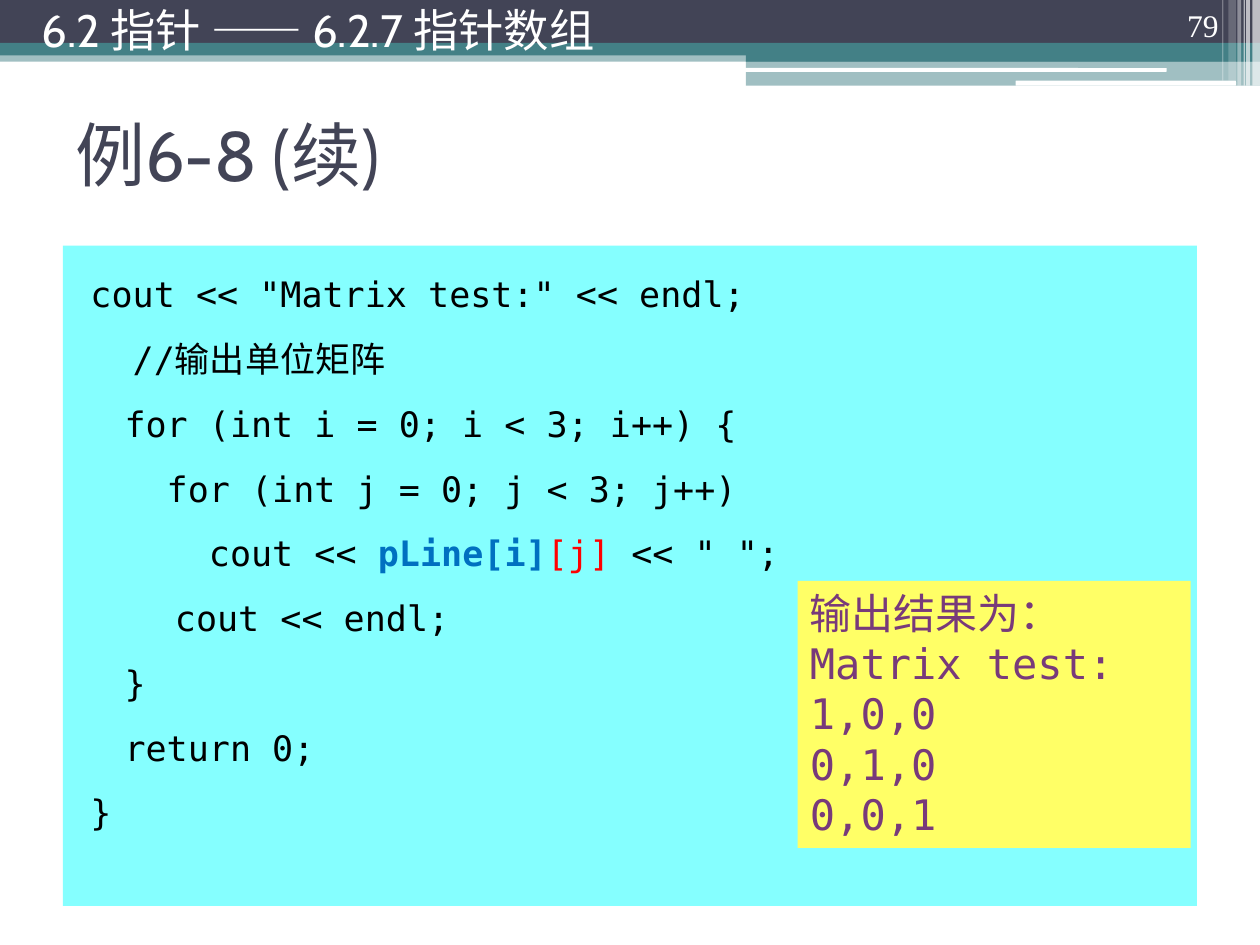
"""Build the slide on arrays of pointers, on a grid of 1000 columns by 750 rows."""
from lxml.etree import SubElement as Sub
from pptx import Presentation
from pptx.dml.color import RGBColor as RGB
from pptx.enum.shapes import MSO_SHAPE as Geo
from pptx.enum.text import MSO_ANCHOR as Anchor, PP_ALIGN as Align
from pptx.oxml.ns import qn
from pptx.util import Inches, Pt

HUE = {"ink": "424456", "teal": "438086", "white": "FFFFFF", "black": "000000",
       "cyan": "85FFFF", "lemon": "FFFF66", "plum": "783A7A",
       "blue": "0070C0", "red": "FF0000"}
MONO = "DejaVu Sans Mono"

deck = Presentation()
deck.slide_width, deck.slide_height = Inches(10), Inches(7.5)
cell = deck.slide_width // 1000
page = deck.slides.add_slide(deck.slide_layouts[6])


def block(spot, hue=None, alpha=100, geo=Geo.RECTANGLE):
    area = [cell * n for n in spot]
    if hue is None:
        return page.shapes.add_textbox(*area)
    form = page.shapes.add_shape(geo, *area)
    form.shadow.inherit = False
    form.line.fill.background()
    form.fill.solid()
    form.fill.fore_color.rgb = RGB.from_string(HUE[hue])
    if alpha < 100:
        tint = form.fill._xPr.find(qn("a:solidFill"))[0]
        Sub(tint, qn("a:alpha"), val=str(alpha * 1000))
    return form


def write(form, lines, look, hue, anchor=Anchor.TOP, para=None):
    frame = form.text_frame
    frame.word_wrap = True
    frame.vertical_anchor = anchor
    for n, line in enumerate(lines):
        part = frame.add_paragraph() if n else frame.paragraphs[0]
        for key, val in {"alignment": Align.LEFT, **(para or {})}.items():
            if n or key != "space_before":
                setattr(part, key, val)
        for text, tone, bold in [(line, hue, False)] if isinstance(line, str) else line:
            run = part.add_run()
            run.text = text
            for key, val in {**look, "bold": bold}.items():
                setattr(run.font, key, val)
            run.font.color.rgb = RGB.from_string(HUE[tone])
    return frame


bands = [
    ((0, 40, 1000, 9), "teal", 50),
    ((0, 0, 1000, 34), "ink", 100),
    ((0, 34, 1000, 10), "teal", 100),
    ((592, 39, 408, 10), "teal", 100),
    ((592, 48, 408, 20), "teal", 50),
]
for band in bands:
    block(*band)

for spot in [(591, 54, 335, 3), (806, 64, 175, 4)]:
    block(spot, "white", geo=Geo.ROUNDED_RECTANGLE)

stripes = [(994, 6, 68, 65), (989, 3, 68, 65), (987, 1, 68, 60),
           (982, 3, 68, 40), (975, 6, 64, 20), (970, 1, 64, 30)]
for left, wide, high, alpha in stripes:
    block((left, 0, wide, high), "white", alpha)

heads = [
    ((50, 63, 900, 117), "例6-8 (续)", "Cabin", 40, "ink", Anchor.MIDDLE, Align.LEFT),
    ((894, 0, 83, 40), "79", "Times New Roman", 18, "white", Anchor.BOTTOM, Align.RIGHT),
    ((23, 0, 721, 47), "6.2 指针 —— 6.2.7 指针数组", "Cabin", 25.9, "white",
     Anchor.MIDDLE, Align.LEFT),
]
for spot, text, face, size, hue, anchor, side in heads:
    write(block(spot), [text], {"name": face, "size": Pt(size)}, hue, anchor,
          {"alignment": side})

code = [
    'cout << "Matrix test:" << endl;',
    "  //输出单位矩阵",
    "\tfor (int i = 0; i < 3; i++) {",
    "\t  for (int j = 0; j < 3; j++)",
    [("\t    cout << ", "black", False), ("pLine[i]", "blue", True),
     ("[j] ", "red", False), ('<< " ";', "black", False)],
    "    cout << endl;",
    "\t}",
    "\treturn 0;",
    "}",
]
body = write(block((50, 195, 900, 524), "cyan"), code,
             {"name": MONO, "size": Pt(20)}, "black",
             para={"line_spacing": 1.5, "space_before": Pt(1)})
for part in body.paragraphs:
    prop = part._p.get_or_add_pPr()
    prop.set("marL", str(cell * 39))
    prop.set("indent", str(cell * -27))

result = ["输出结果为：", "Matrix test:", "1,0,0", "0,1,0", "0,0,1"]
write(block((633, 461, 312, 212), "lemon"), result,
      {"name": MONO, "size": Pt(24)}, "plum")

deck.save("out.pptx")
